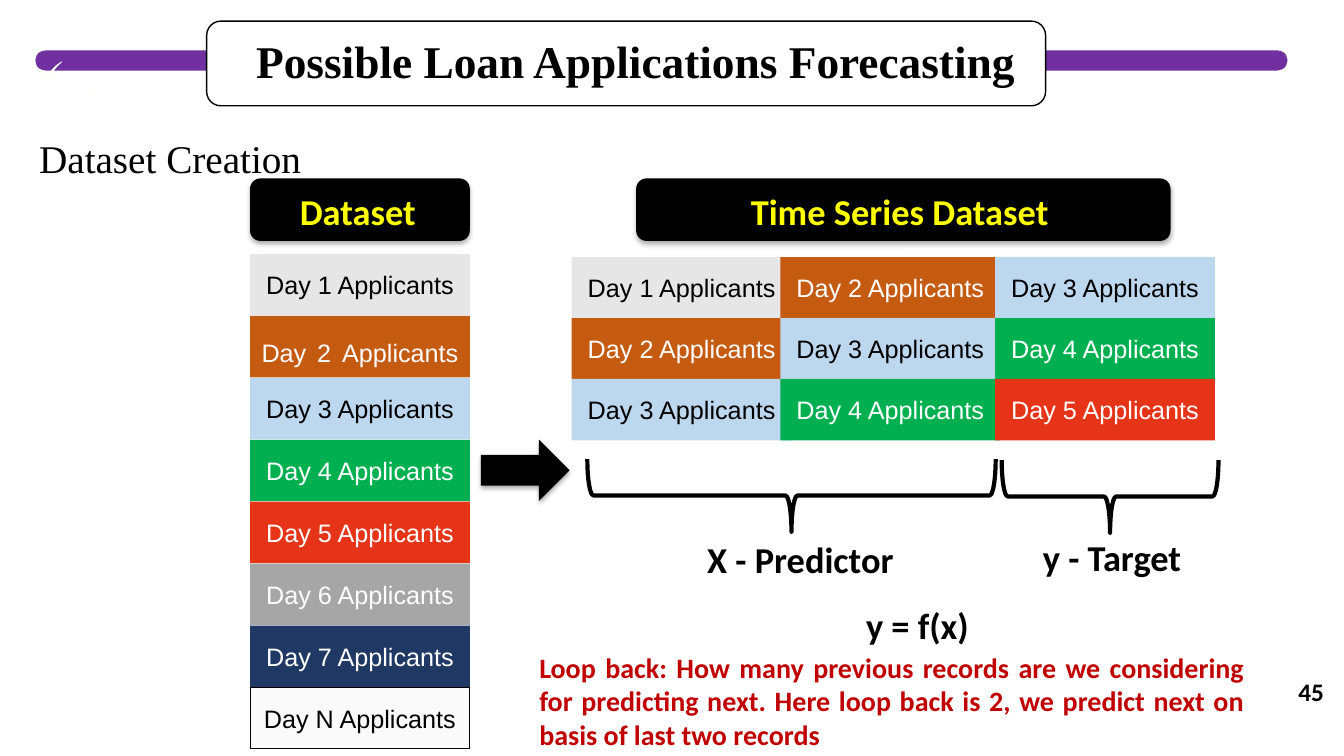
from lxml import etree
from pptx import Presentation
from pptx import util as u
from pptx.dml.color import RGBColor
from pptx.enum import shapes, text
from pptx.oxml import ns

KIND = shapes.MSO_SHAPE
ANCHOR = text.MSO_ANCHOR
ALIGN = text.PP_ALIGN
SERIF = "Times New Roman"
COLORS = {
    "1": ("E7E6E6", "000000"),
    "2": ("C55A11", "FFFFFF"),
    "3": ("BDD7EE", "000000"),
    "4": ("00B050", "FFFFFF"),
    "5": ("E53418", "FFFFFF"),
    "6": ("A6A6A6", "FFFFFF"),
    "7": ("203864", "FFFFFF"),
    "N": ("FAFAFA", "000000"),
}


def paint(code):
    return RGBColor.from_string(code)


def add(parent, tag, **attrs):
    node = etree.SubElement(parent, ns.qn(tag))
    for key, value in attrs.items():
        node.set(key, str(value))
    return node


def write(shape, words, size=18, font="Calibri", color="000000", bold=False,
          align=ALIGN.CENTER, anchor=ANCHOR.BOTTOM, spacing=None):
    frame = shape.text_frame
    frame.word_wrap = True
    frame.vertical_anchor = anchor
    para = frame.paragraphs[0]
    para.alignment = align
    if spacing:
        para.line_spacing = spacing
    runs = [(words, size)] if isinstance(words, str) else words
    for part, points in runs:
        run = para.add_run()
        run.text = part
        run.font.size = u.Pt(points)
        run.font.name = font
        run.font.bold = bold
        run.font.color.rgb = paint(color)
    return para


class Board:
    font = "Calibri"
    black = "000000"
    yellow = "FFFF00"

    def __init__(self, slide):
        self.slide = slide

    def shape(self, kind, box, fill, line=None, width=1):
        item = self.slide.shapes.add_shape(kind, *map(u.Inches, box))
        item.shadow.inherit = False
        item.fill.solid()
        item.fill.fore_color.rgb = paint(fill)
        if line:
            item.line.color.rgb = paint(line)
            item.line.width = u.Pt(width)
        else:
            item.line.fill.background()
        return item

    def label(self, box, words, **style):
        item = self.slide.shapes.add_textbox(*map(u.Inches, box))
        return write(item, words, **style)

    def heading(self, box, words):
        self.label(box, words, size=26, font=self.font, color=self.black, bold=True)

    def raised(self, kind, box):
        item = self.shape(kind, box, self.black)
        effects = item._element.spPr.find(ns.qn("a:effectLst"))
        shade = add(effects, "a:outerShdw", blurRad=u.Pt(3.5), dist=u.Pt(2.2),
                    dir=5400000, algn="t", rotWithShape=0)
        add(add(shade, "a:srgbClr", val=self.black), "a:alpha", val=32000)

    def banner(self, box, inner, words):
        self.raised(KIND.ROUNDED_RECTANGLE, box)
        self.label(inner, words, size=26, font=self.font, color=self.yellow, bold=True)

    def day(self, left, top, name, words=None):
        fill, ink = COLORS[name]
        edge = self.black if name == "N" else None
        item = self.shape(KIND.RECTANGLE, (left, top, 2.18, 0.61), fill, edge, 0.75)
        write(item, words or f"Day {name} Applicants", font="Arial", color=ink,
              anchor=ANCHOR.MIDDLE)

    def brace(self, box):
        item = self.shape(KIND.LEFT_BRACE, box, "FFFFFF", self.black, 3)
        item.rotation = 270

    def check(self, box):
        para = self.label(box, ".", size=22, font=SERIF, color="FDFEF6",
                          align=ALIGN.LEFT, anchor=ANCHOR.TOP, spacing=0.9)
        para.space_before = u.Pt(10)
        props = para._p.get_or_add_pPr()
        props.set("marL", str(u.Inches(0.5)))
        props.set("indent", str(u.Inches(-0.5)))
        add(props, "a:buChar", char="✓")


def main():
    deck = Presentation()
    deck.slide_width = u.Inches(13.33)
    deck.slide_height = u.Inches(7.5)
    board = Board(deck.slides.add_slide(deck.slide_layouts[6]))

    bar = board.shape(KIND.ROUNDED_RECTANGLE, (0.35, 0.5, 12.42, 0.2), "7030A0")
    bar.adjustments[0] = 0.5
    board.label((0.29, 0.75, 12.74, 1.1), "Dataset Creation", size=28, font=SERIF,
                align=ALIGN.LEFT, spacing=1.5)
    board.check((0.29, 0.58, 4.65, 1.48))
    board.label((12.73, 6.66, 0.5, 0.4), "45", bold=True, align=ALIGN.RIGHT,
                anchor=ANCHOR.MIDDLE)

    board.shape(KIND.ROUNDED_RECTANGLE, (2.05, 0.21, 8.32, 0.84), "FFFFFF", "000000")
    title = board.shape(KIND.RECTANGLE, (2.32, 0.31, 7.97, 0.62), "FFFFFF")
    write(title, "Possible Loan Applications Forecasting", size=32.4, font=SERIF,
          bold=True, spacing=0.9)

    spaced = [("Day", 18), (" ", 28), ("2", 18), (" ", 28), ("Applicants", 18)]
    for row, name in enumerate(COLORS):
        board.day(2.48, 2.52 + row * 4.3 / 7, name, spaced if name == "2" else None)
    board.banner((2.48, 1.77, 2.18, 0.62), (2.78, 1.69, 1.54, 0.67), "Dataset")
    board.raised(KIND.RIGHT_ARROW, (4.77, 4.36, 0.88, 0.61))

    for row in range(3):
        for col, left in enumerate((5.67, 7.74, 9.87)):
            board.day(left, 2.55 + row * 1.21 / 2, str(row + col + 1))

    board.brace((7.49, 2.89, 0.72, 4.05))
    board.heading((6.66, 5.14, 2.56, 0.67), "X - Predictor")
    board.brace((10.65, 3.85, 0.72, 2.15))
    board.heading((9.75, 5.12, 2.56, 0.67), "y - Target")
    board.heading((7.82, 5.8, 2.56, 0.67), "y = f(x)")
    board.banner((6.31, 1.77, 5.3, 0.62), (7.05, 1.69, 3.75, 0.67),
                 "Time Series Dataset")
    board.label((5.25, 6.38, 7.19, 1.12),
                "Loop back: How many previous records are we considering for "
                "predicting next. Here loop back is 2, we predict next on basis "
                "of last two records",
                size=20, color="C00000", bold=True, align=ALIGN.JUSTIFY)

    deck.save("out.pptx")


if __name__ == "__main__":
    main()
